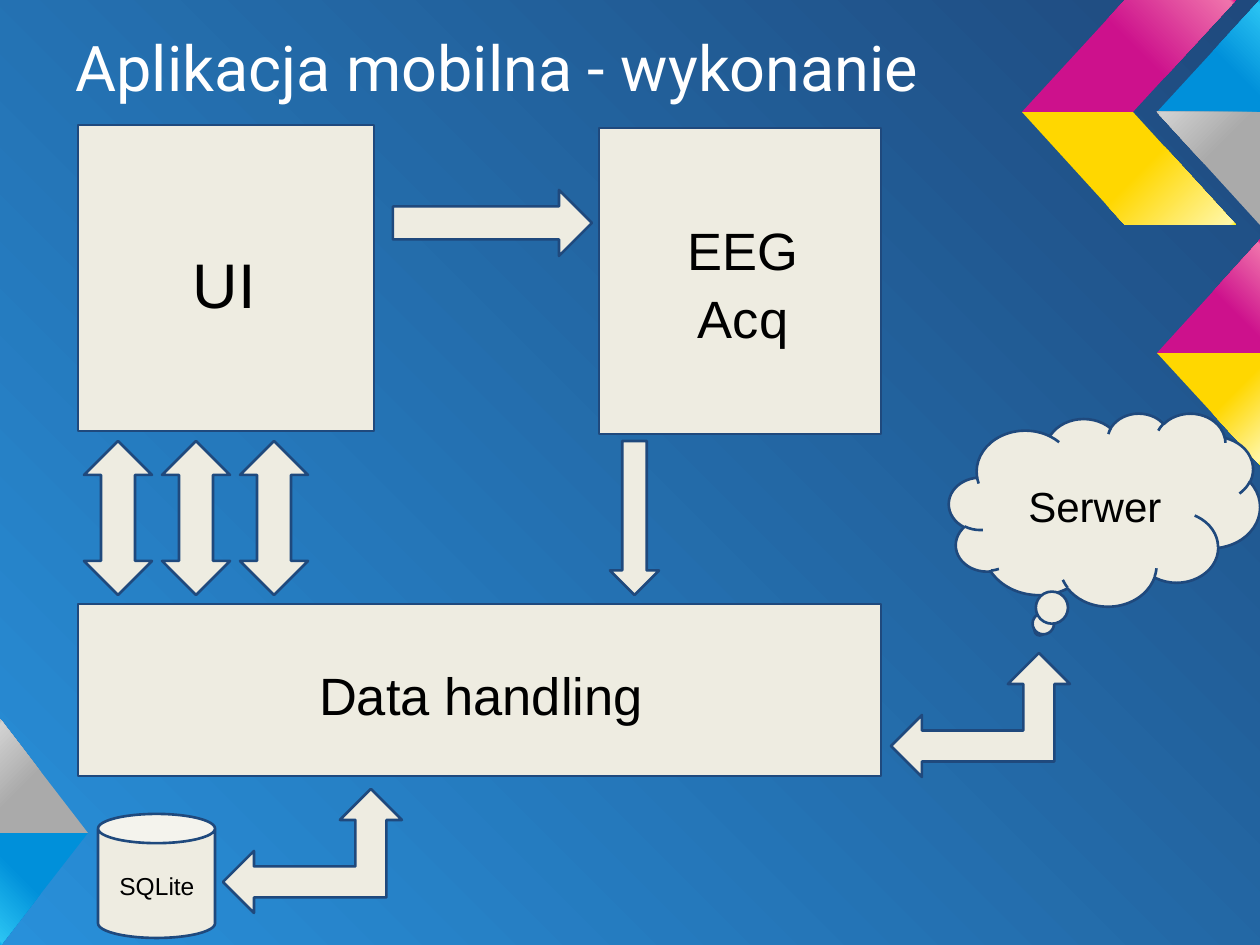
from typing import NamedTuple

from lxml.etree import SubElement
from pptx import Presentation
from pptx.dml.color import RGBColor
from pptx.enum.shapes import MSO_SHAPE
from pptx.enum.text import MSO_ANCHOR, PP_ALIGN
from pptx.oxml.ns import qn
from pptx.slide import Slide
from pptx.util import Emu, Pt

SCALE = 914400 / 126
WIDTH, HEIGHT = 1260, 945
INSET = Emu(91440)

WHITE = RGBColor(0xFF, 0xFF, 0xFF)
BLACK = RGBColor(0x00, 0x00, 0x00)
CREAM = RGBColor(0xEE, 0xEC, 0xE1)
NAVY = RGBColor(0x1F, 0x49, 0x7D)
SKY = RGBColor(0x28, 0x90, 0xDA)


class Ramp(NamedTuple):
    base: RGBColor
    light: RGBColor
    end: RGBColor


BLUE = Ramp(RGBColor(0x00, 0x90, 0xDA), RGBColor(0x2B, 0xC4, 0xF3), RGBColor(0x00, 0xAE, 0xEE))
GREY = Ramp(RGBColor(0xAA, 0xAA, 0xAA), RGBColor(0xD2, 0xD2, 0xD2), RGBColor(0xB9, 0xB9, 0xB9))
PINK = Ramp(RGBColor(0xCD, 0x11, 0x8C), RGBColor(0xF0, 0x74, 0xAC), RGBColor(0xEB, 0x00, 0x8B))
YELLOW = Ramp(RGBColor(0xFF, 0xD7, 0x00), RGBColor(0xFF, 0xF7, 0xA9), RGBColor(0xFF, 0xF1, 0x00))


class Facet(NamedTuple):
    points: list[tuple[int, int]]
    ramp: Ramp
    angle: int


class Block(NamedTuple):
    kind: MSO_SHAPE
    left: int
    top: int
    width: int
    height: int
    adjustments: tuple[float, ...] = ()


class Label(NamedTuple):
    lines: list[str]
    left: int
    top: int
    width: int
    height: int
    size: int
    align: PP_ALIGN = PP_ALIGN.CENTER
    anchor: MSO_ANCHOR = MSO_ANCHOR.MIDDLE
    font: str = "Arial"
    color: RGBColor = BLACK
    spacing: float = 1.08


def px(length: int) -> Emu:
    return Emu(round(length * SCALE))


def set_stops(gradient, stops: list[tuple[int, RGBColor]]) -> None:
    stop_list = gradient.find(qn("a:gsLst"))
    for stop in list(stop_list):
        stop_list.remove(stop)
    for position, color in stops:
        stop = SubElement(stop_list, qn("a:gs"), pos=str(position * 1000))
        SubElement(stop, qn("a:srgbClr"), val=str(color))


def paint_background(page: Slide) -> None:
    page.background.fill.gradient()
    gradient = page.element.find(".//" + qn("p:bgPr")).find(qn("a:gradFill"))
    set_stops(gradient, [(0, SKY), (100, NAVY)])
    gradient.remove(gradient.find(qn("a:lin")))
    radial = SubElement(gradient, qn("a:path"), path="circle")
    SubElement(radial, qn("a:fillToRect"), t="100000", r="100000")


def draw_facet(page: Slide, facet: Facet) -> None:
    start, *others = facet.points
    builder = page.shapes.build_freeform(*start, scale=SCALE)
    builder.add_line_segments(others, close=True)
    shape = builder.convert_to_shape()
    shape.shadow.inherit = False
    shape.line.fill.background()
    shape.fill.gradient()
    gradient = shape.element.spPr.find(qn("a:gradFill"))
    base, light, end = facet.ramp
    set_stops(gradient, [(0, base), (54, base), (98, light), (100, end)])
    gradient.find(qn("a:lin")).set("ang", str(facet.angle * 60000))


def draw_block(page: Slide, block: Block) -> None:
    shape = page.shapes.add_shape(
        block.kind, px(block.left), px(block.top), px(block.width), px(block.height))
    for index, value in enumerate(block.adjustments):
        shape.adjustments[index] = value
    shape.shadow.inherit = False
    shape.fill.solid()
    shape.fill.fore_color.rgb = CREAM
    shape.line.color.rgb = NAVY
    shape.line.width = Pt(1.5)


def draw_label(page: Slide, label: Label) -> None:
    box = page.shapes.add_textbox(
        px(label.left), px(label.top), px(label.width), px(label.height))
    frame = box.text_frame
    frame.word_wrap = True
    frame.vertical_anchor = label.anchor
    frame.margin_left = frame.margin_right = INSET
    frame.margin_top = frame.margin_bottom = INSET
    for index, line in enumerate(label.lines):
        para = frame.add_paragraph() if index else frame.paragraphs[0]
        para.alignment = label.align
        para.line_spacing = label.spacing
        span = para.add_run()
        span.text = line
        span.font.size = Pt(label.size)
        span.font.name = label.font
        span.font.color.rgb = label.color


FACETS = [
    Facet([(88, 833), (0, 833), (0, HEIGHT), (1, HEIGHT)], BLUE, 135),
    Facet([(88, 833), (1, 720), (0, 720), (0, 833)], GREY, 225),
    Facet([(WIDTH, 0), (1157, 112), (WIDTH, 112)], BLUE, 315),
    Facet([(1157, 112), (WIDTH, 225), (WIDTH, 112)], GREY, 225),
    Facet([(1133, 112), (1236, 0), (1125, 0), (1022, 112)], PINK, 315),
    Facet([(WIDTH, 240), (1157, 353), (WIDTH, 353)], PINK, 315),
    Facet([(1157, 353), (WIDTH, 465), (WIDTH, 353)], YELLOW, 45),
    Facet([(1133, 112), (1236, 225), (1125, 225), (1022, 112)], YELLOW, 45),
]

BLOCKS = [
    Block(MSO_SHAPE.RECTANGLE, 78, 125, 296, 306),
    Block(MSO_SHAPE.RECTANGLE, 599, 128, 282, 306),
    Block(MSO_SHAPE.FLOWCHART_PROCESS, 78, 604, 803, 172),
    *(Block(MSO_SHAPE.UP_DOWN_ARROW, 84 + 78 * step, 441, 68, 154, (0.5, 0.5))
      for step in range(3)),
    Block(MSO_SHAPE.RIGHT_ARROW, 393, 190, 199, 66, (0.5, 0.5)),
    Block(MSO_SHAPE.DOWN_ARROW, 610, 441, 49, 154, (0.5, 0.5)),
    Block(MSO_SHAPE.CLOUD_CALLOUT, 949, 413, 311, 193, (-0.208, 0.625)),
    Block(MSO_SHAPE.LEFT_UP_ARROW, 891, 653, 179, 124),
    Block(MSO_SHAPE.CAN, 98, 814, 117, 124, (0.25,)),
    Block(MSO_SHAPE.LEFT_UP_ARROW, 223, 789, 179, 124),
]

LABELS = [
    Label(["Aplikacja mobilna - wykonanie"], 63, 38, 948, 79, 36, PP_ALIGN.LEFT,
          MSO_ANCHOR.BOTTOM, "Roboto", WHITE, 1.0),
    Label(["UI"], 83, 136, 282, 289, 36),
    Label(["EEG", "Acq"], 602, 128, 282, 306, 30),
    Label(["Data handling"], 81, 606, 800, 173, 30),
    Label(["Serwer"], 1016, 464, 207, 79, 24, PP_ALIGN.LEFT, MSO_ANCHOR.TOP),
    Label(["SQLite"], 107, 856, 117, 66, 14, PP_ALIGN.LEFT, MSO_ANCHOR.TOP),
]

deck = Presentation()
deck.slide_width, deck.slide_height = px(WIDTH), px(HEIGHT)
page = deck.slides.add_slide(deck.slide_layouts[6])
paint_background(page)
for facet in FACETS:
    draw_facet(page, facet)
for block in BLOCKS:
    draw_block(page, block)
for label in LABELS:
    draw_label(page, label)
deck.save("out.pptx")
